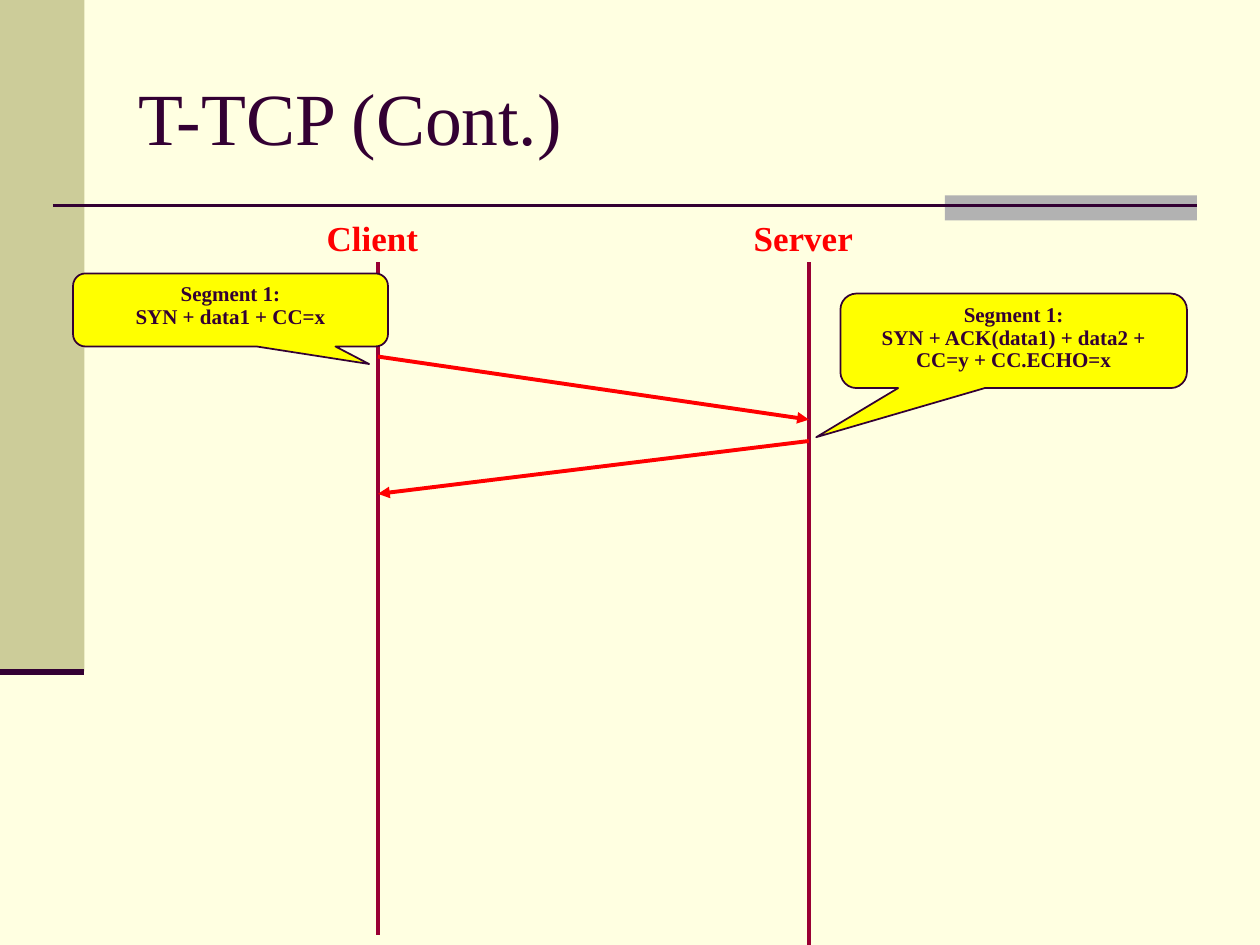
from lxml.etree import SubElement as Sub
from pptx import Presentation
from pptx.dml.color import RGBColor
from pptx.enum.shapes import MSO_CONNECTOR as Conn, MSO_SHAPE as Shape
from pptx.enum.text import MSO_ANCHOR as Anchor, PP_ALIGN as Align
from pptx.oxml.ns import qn
from pptx.util import Inches, Pt

FONT = "Times New Roman"
DARK, RED, WINE = "330033", "FF0000", "990033"
LEFT, RIGHT = 3, 6.42


def color(code):
    return RGBColor.from_string(code)


def write(frame, text, size, ink, bold=False, align=Align.CENTER,
          anchor=Anchor.TOP, space=None):
    frame.word_wrap = True
    frame.vertical_anchor = anchor
    frame.text = text
    for para in frame.paragraphs:
        para.alignment = align
        para.line_spacing = space
        font = para.runs[0].font
        font.name, font.size, font.bold = FONT, Pt(size), bold
        font.color.rgb = color(ink)


def block(slide, kind, box, fill, edge=None):
    shape = slide.shapes.add_shape(kind, *map(Inches, box))
    shape.shadow.inherit = False
    shape.fill.solid()
    shape.fill.fore_color.rgb = color(fill)
    if edge:
        shape.line.color.rgb = color(edge)
        shape.line.width = Pt(1)
    else:
        shape.line.fill.background()
    return shape


def line(slide, start, end, ink, width, arrow=False):
    link = slide.shapes.add_connector(
        Conn.STRAIGHT, *map(Inches, (*start, *end)))
    link.line.color.rgb = color(ink)
    link.line.width = Pt(width)
    props = link._element.spPr
    if arrow:
        Sub(props.find(qn("a:ln")), qn("a:tailEnd"), type="triangle")
    Sub(props, qn("a:effectLst"))


def label(slide, text, left):
    box = slide.shapes.add_textbox(
        *map(Inches, (left, 1.67, 1.25, 0.44)))
    write(box.text_frame, text, 20, RED, bold=True)


def callout(slide, text, box, tip):
    shape = block(slide, Shape.ROUNDED_RECTANGULAR_CALLOUT, box, "FFFF00", DARK)
    for i, value in enumerate((*tip, 0.17)):
        shape.adjustments[i] = value
    write(shape.text_frame, text, 12, DARK, bold=True, space=0.9)


def frame(slide):
    slide.background.fill.solid()
    slide.background.fill.fore_color.rgb = color("FFFFE1")
    block(slide, Shape.RECTANGLE, (0, 0, 0.67, 5.33), "CCCC99")
    block(slide, Shape.RECTANGLE, (7.5, 1.55, 2, 0.2), "B2B2B2")
    line(slide, (0.42, 1.63), (9.5, 1.63), DARK, 1.5)
    line(slide, (0, 5.33), (0.67, 5.33), DARK, 3.5)


def heading(slide, text):
    title = slide.shapes.title
    title.left, title.top, title.width, title.height = map(
        Inches, (1, 0.3, 8.5, 1.25))
    write(title.text_frame, text, 42, DARK, align=Align.LEFT,
          anchor=Anchor.MIDDLE)


def main():
    deck = Presentation()
    deck.slide_width, deck.slide_height = Inches(10), Inches(7.5)
    slide = deck.slides.add_slide(deck.slide_layouts[5])
    frame(slide)
    heading(slide, "T-TCP (Cont.)")

    for x, end in ((LEFT, 7.42), (RIGHT, 7.5)):
        line(slide, (x, 2.08), (x, end), WINE, 2.25)
    label(slide, "Client", 2.33)
    label(slide, "Server", 5.75)

    callout(slide, "Segment 1:\nSYN + data1 + CC=x",
            (0.58, 2.17, 2.5, 0.58), (0.44, 0.74))
    callout(slide, "Segment 1:\nSYN + ACK(data1) + data2 + CC=y + CC.ECHO=x",
            (6.67, 2.33, 2.75, 0.75), (-0.57, 1.02))

    line(slide, (LEFT, 2.83), (RIGHT, 3.33), RED, 2.25, arrow=True)
    line(slide, (RIGHT, 3.5), (LEFT, 3.92), RED, 2.25, arrow=True)
    deck.save("out.pptx")


if __name__ == "__main__":
    main()
